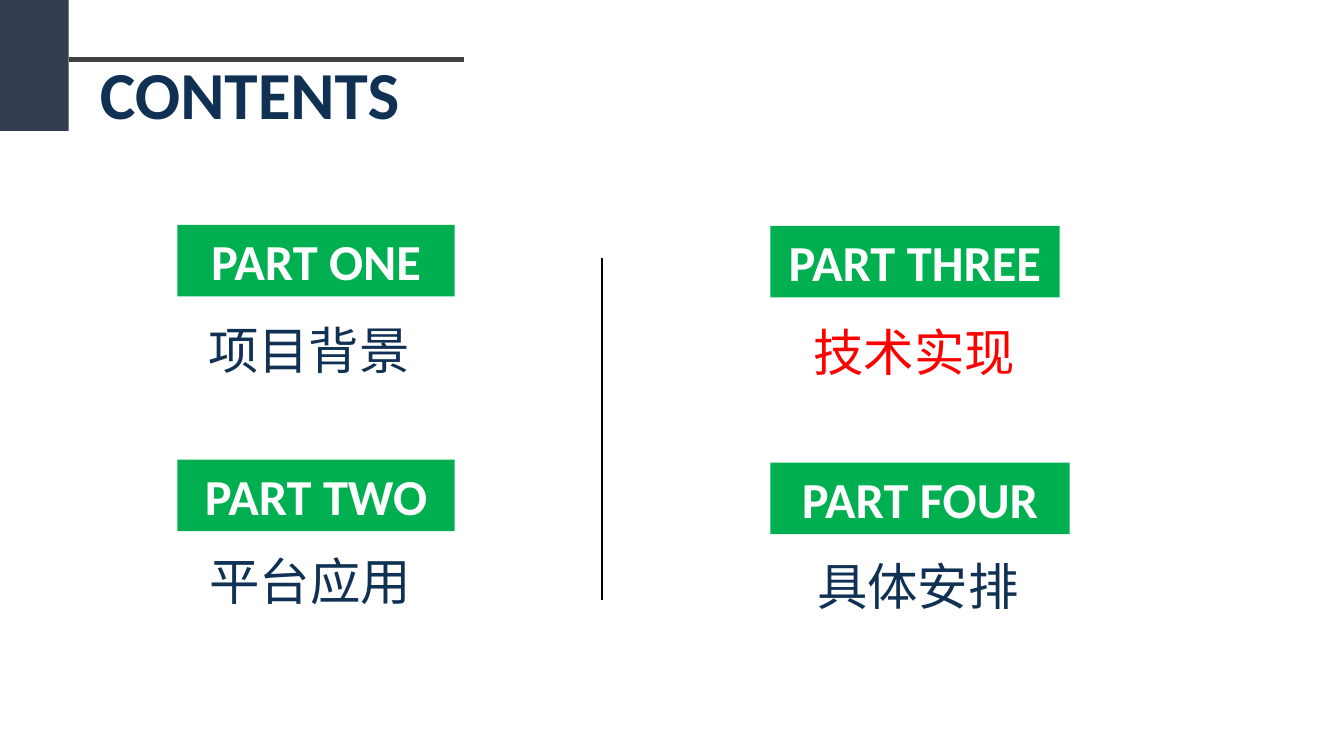
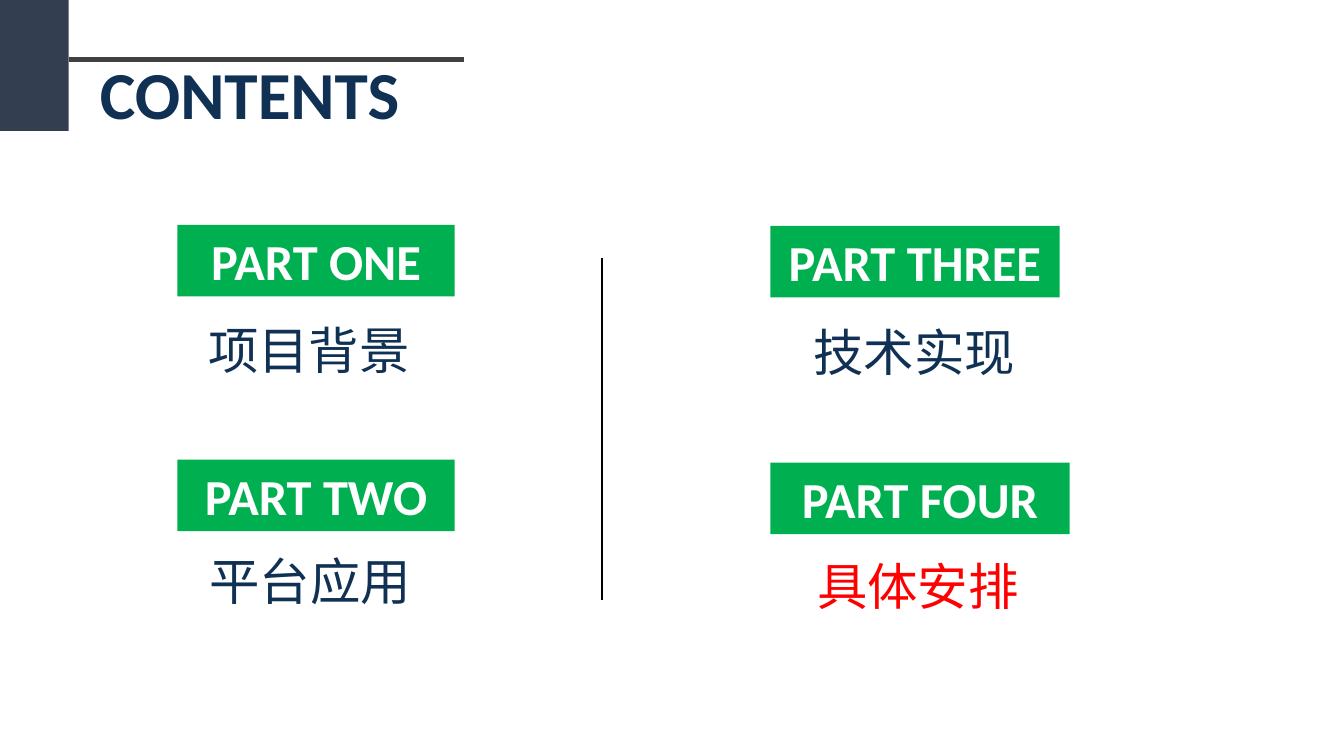
from dataclasses import dataclass
from typing import Any

import pptx
import pptx.dml.color
import pptx.enum.shapes
import pptx.enum.text
import pptx.oxml.ns
import pptx.util
from lxml import etree

EMU_PER_PX = 9144  # 100 px to the inch
PAGE_SIZE = (1333, 750)
TITLE_ONLY_LAYOUT = 5

# Palette
NAVY = "103154"
GREEN = "00B050"
RED = "FF0000"
WHITE = "FFFFFF"
SLATE = "333F50"
GREY = "404040"
BLACK = "000000"

ALIGN = pptx.enum.text.PP_ALIGN
ANCHOR = pptx.enum.text.MSO_ANCHOR
GROW = pptx.enum.text.MSO_AUTO_SIZE.SHAPE_TO_FIT_TEXT


@dataclass(frozen=True)
class Area:
    left: int
    top: int
    width: int
    height: int


@dataclass(frozen=True)
class TextStyle:
    font: dict[str, Any]
    color: str
    paragraph: dict[str, Any]
    frame: dict[str, Any]


@dataclass(frozen=True)
class Part:
    label: str
    topic: str
    label_area: Area
    topic_area: Area


@dataclass(frozen=True)
class Rule:
    start: tuple[int, int]
    end: tuple[int, int]
    color: str
    weight: int


# Text styles
TITLE_STYLE = TextStyle(
    {"name": "Calibri", "size": pptx.util.Pt(48), "bold": True},
    NAVY,
    {"alignment": ALIGN.LEFT},
    {"word_wrap": False, "auto_size": GROW, "vertical_anchor": ANCHOR.TOP},
)
LABEL_STYLE = TextStyle(
    {"name": "Calibri", "size": pptx.util.Pt(36), "bold": True},
    WHITE,
    {"alignment": ALIGN.CENTER},
    {"word_wrap": True, "auto_size": GROW, "vertical_anchor": ANCHOR.MIDDLE},
)
TOPIC_STYLE = TextStyle(
    {"name": "Noto Sans CJK SC", "size": pptx.util.Pt(36), "bold": False},
    NAVY,
    {"alignment": ALIGN.CENTER, "line_spacing": 1.3},
    {"word_wrap": True, "auto_size": GROW, "vertical_anchor": ANCHOR.TOP},
)

# Shared content
TITLE_AREA = Area(89, 47, 321, 91)
CORNER_AREA = Area(0, 0, 68, 130)
RULES = (
    Rule((597, 256), (597, 595), BLACK, 1),
    Rule((68, 59), (460, 59), GREY, 3),
)
PARTS = (
    Part("PART ONE", "项目背景", Area(176, 223, 275, 71), Area(165, 294, 283, 81)),
    Part("PART TWO", "平台应用", Area(176, 456, 275, 71), Area(165, 523, 285, 81)),
    Part("PART THREE", "技术实现", Area(764, 224, 287, 71), Area(762, 296, 289, 81)),
    Part("PART FOUR", "具体安排", Area(764, 459, 297, 71), Area(762, 528, 297, 81)),
)
HIGHLIGHTED_TOPICS = ("技术实现", "具体安排")  # one for each slide


def px(length: int) -> pptx.util.Emu:
    return pptx.util.Emu(length * EMU_PER_PX)


def rgb(color: str) -> pptx.dml.color.RGBColor:
    return pptx.dml.color.RGBColor.from_string(color)


def bounds(area: Area) -> tuple[pptx.util.Emu, ...]:
    return px(area.left), px(area.top), px(area.width), px(area.height)


def apply_format(target: Any, values: dict[str, Any]) -> None:
    for name, value in values.items():
        setattr(target, name, value)


def write_text(box: Any, text: str, style: TextStyle, color: str) -> None:
    apply_format(box.text_frame, style.frame)
    para = box.text_frame.paragraphs[0]
    apply_format(para, style.paragraph)
    span = para.add_run()
    span.text = text
    apply_format(span.font, style.font)
    span.font.color.rgb = rgb(color)
    # East Asian glyphs take their typeface from a separate element
    east_asian = etree.Element(pptx.oxml.ns.qn("a:ea"), typeface=style.font["name"])
    span.font._element.find(pptx.oxml.ns.qn("a:latin")).addnext(east_asian)


def add_title(page: Any, text: str) -> None:
    title = page.shapes.title
    title.left, title.top, title.width, title.height = bounds(TITLE_AREA)
    write_text(title, text, TITLE_STYLE, TITLE_STYLE.color)


def add_block(page: Any, area: Area, color: str) -> Any:
    rectangle = pptx.enum.shapes.MSO_SHAPE.RECTANGLE
    block = page.shapes.add_shape(rectangle, *bounds(area))
    block.shadow.inherit = False
    block.fill.solid()
    block.fill.fore_color.rgb = rgb(color)
    block.line.fill.background()
    return block


def add_rule(page: Any, rule: Rule) -> None:
    straight = pptx.enum.shapes.MSO_CONNECTOR.STRAIGHT
    ends = [px(length) for length in rule.start + rule.end]
    line = page.shapes.add_connector(straight, *ends)
    line.line.color.rgb = rgb(rule.color)
    line.line.width = pptx.util.Pt(rule.weight)
    etree.SubElement(line._element.spPr, pptx.oxml.ns.qn("a:effectLst"))


def add_part(page: Any, part: Part, highlighted: bool) -> None:
    block = add_block(page, part.label_area, GREEN)
    write_text(block, part.label, LABEL_STYLE, LABEL_STYLE.color)
    box = page.shapes.add_textbox(*bounds(part.topic_area))
    write_text(box, part.topic, TOPIC_STYLE, RED if highlighted else TOPIC_STYLE.color)


def add_contents_page(deck: Any, highlighted_topic: str) -> None:
    page = deck.slides.add_slide(deck.slide_layouts[TITLE_ONLY_LAYOUT])
    add_title(page, "CONTENTS")
    for part in PARTS:
        add_part(page, part, part.topic == highlighted_topic)
    add_block(page, CORNER_AREA, SLATE)
    for rule in RULES:
        add_rule(page, rule)


def main() -> None:
    deck = pptx.Presentation()
    deck.slide_width, deck.slide_height = (px(length) for length in PAGE_SIZE)
    for topic in HIGHLIGHTED_TOPICS:
        add_contents_page(deck, topic)
    deck.save("out.pptx")


if __name__ == "__main__":
    main()
